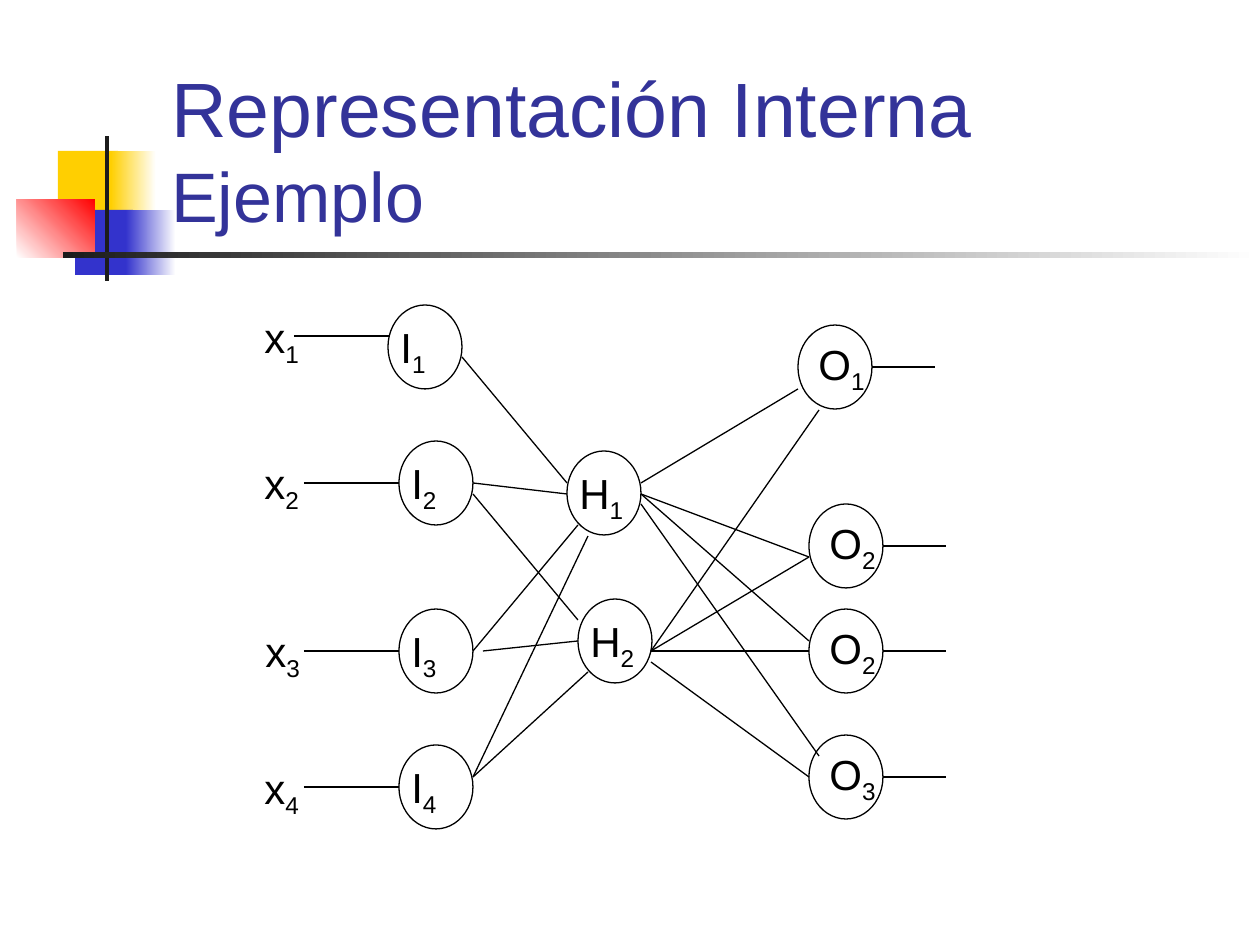
from pptx import Presentation
from pptx import util as u
from pptx.dml.color import RGBColor
from pptx.enum import shapes, text
from pptx.oxml.ns import qn
from lxml import etree

SCALE = 914400 / 126
BLACK = "000000"

TITLE = ("Representación Interna\vEjemplo", (44, 40), "333399", (159, 86, 1074, 157))

DECORATION = [
    ((58, 151, 60, 66), ("FFCF01",), 0),
    ((111, 151, 45, 66), ("FFCF01", "FFFFFF"), 0),
    ((75, 210, 58, 65), ("3333CC",), 0),
    ((126, 210, 50, 65), ("3333CC", "FFFFFF"), 0),
    ((17, 199, 78, 59), ("FFFFFF", "FF0000"), 45),
    ((105, 136, 4, 145), ("1C1C1C",), 0),
    ((63, 252, 1197, 6), ("1C1C1C", "FFFFFF"), 0),
]

NODE_SIZE = (74, 84)
NODES = [
    ("I", "1", 388, 305), ("I", "2", 399, 441), ("I", "3", 399, 609), ("I", "4", 399, 745),
    ("H", "1", 567, 451), ("H", "2", 578, 599),
    ("O", "1", 798, 325), ("O", "2", 809, 504), ("O", "2", 809, 609), ("O", "3", 809, 735),
]
LABEL_OFFSETS = {"I": (0, 10), "H": (0, 10), "O": (8, 7)}
LABEL_WIDTHS = {"I": 53, "H": 72, "O": 74, "x": 62}
LABEL_HEIGHT = 63

INPUTS = [("1", 252, 305), ("2", 252, 451), ("3", 253, 619), ("4", 252, 756)]
INPUT_LINES = [(294, 336), (304, 483), (304, 651), (304, 787)]
INPUT_LENGTH = 95
OUTPUT_LENGTH = 63

LINKS = [
    ((462, 357), (567, 483)), ((473, 483), (567, 494)), ((473, 494), (578, 620)),
    ((473, 651), (578, 525)), ((483, 651), (578, 641)),
    ((473, 777), (588, 536)), ((473, 777), (588, 672)),
    ((641, 483), (798, 389)), ((641, 494), (809, 557)),
    ((641, 494), (809, 641)), ((641, 504), (819, 756)),
    ((651, 651), (819, 410)), ((651, 651), (809, 557)),
    ((651, 651), (809, 651)), ((651, 662), (809, 777)),
]


def px(*values):
    return [u.Emu(round(value * SCALE)) for value in values]


def color(value):
    return RGBColor.from_string(value)


def style_run(run, size, value):
    run.font.name = "Arial"
    run.font.size = u.Pt(size)
    run.font.color.rgb = color(value)


def add_block(slide, box, colors, angle):
    shape = slide.shapes.add_shape(shapes.MSO_SHAPE.RECTANGLE, *px(*box))
    shape.shadow.inherit = False
    shape.line.fill.background()
    if len(colors) == 1:
        shape.fill.solid()
        shape.fill.fore_color.rgb = color(colors[0])
        return
    shape.fill.gradient()
    shape.fill.gradient_angle = angle
    for stop, value, position in zip(shape.fill.gradient_stops, colors, (0, 1)):
        stop.color.rgb = color(value)
        stop.position = position


def add_title(slide):
    wording, sizes, value, box = TITLE
    frame = slide.shapes.add_textbox(*px(*box)).text_frame
    frame.word_wrap = True
    frame.vertical_anchor = text.MSO_ANCHOR.BOTTOM
    frame.text = wording
    for run, size in zip(frame.paragraphs[0].runs, sizes):
        style_run(run, size, value)


def add_label(slide, letter, index, left, top):
    box = px(left, top, LABEL_WIDTHS[letter], LABEL_HEIGHT)
    frame = slide.shapes.add_textbox(*box).text_frame
    frame.word_wrap = False
    frame.auto_size = text.MSO_AUTO_SIZE.SHAPE_TO_FIT_TEXT
    paragraph = frame.paragraphs[0]
    for part in (letter, index):
        run = paragraph.add_run()
        run.text = part
        style_run(run, 24, BLACK)
    run.font._element.set("baseline", "-25000")


def add_node(slide, letter, index, left, top):
    shape = slide.shapes.add_shape(shapes.MSO_SHAPE.OVAL, *px(left, top, *NODE_SIZE))
    shape.shadow.inherit = False
    shape.fill.background()
    shape.line.color.rgb = color(BLACK)
    shape.line.width = u.Pt(0.75)
    shift_x, shift_y = LABEL_OFFSETS[letter]
    add_label(slide, letter, index, left + shift_x, top + shift_y)


def add_line(slide, start, end):
    line = slide.shapes.add_connector(shapes.MSO_CONNECTOR.STRAIGHT, *px(*start, *end))
    line.line.color.rgb = color(BLACK)
    line.line.width = u.Pt(0.75)
    etree.SubElement(line._element.spPr, qn("a:effectLst"))


def main():
    presentation = Presentation()
    presentation.slide_width, presentation.slide_height = px(1260, 945)
    slide = presentation.slides.add_slide(presentation.slide_layouts[6])
    for block in DECORATION:
        add_block(slide, *block)
    add_title(slide)
    for letter, index, left, top in NODES:
        add_node(slide, letter, index, left, top)
        if letter == "O":
            x, y = left + NODE_SIZE[0], top + NODE_SIZE[1] // 2
            add_line(slide, (x, y), (x + OUTPUT_LENGTH, y))
    for start, end in LINKS:
        add_line(slide, start, end)
    for (index, left, top), (x, y) in zip(INPUTS, INPUT_LINES):
        add_label(slide, "x", index, left, top)
        add_line(slide, (x, y), (x + INPUT_LENGTH, y))
    presentation.save("out.pptx")


if __name__ == "__main__":
    main()
